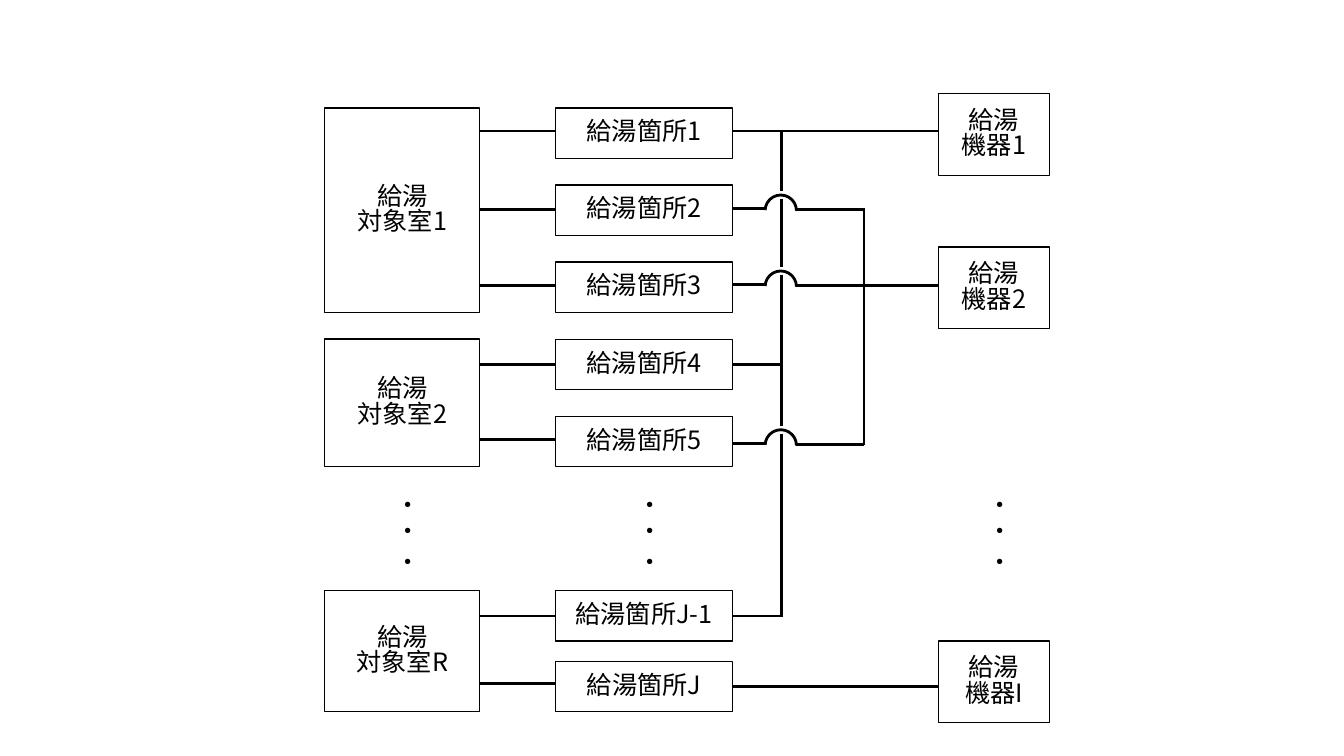
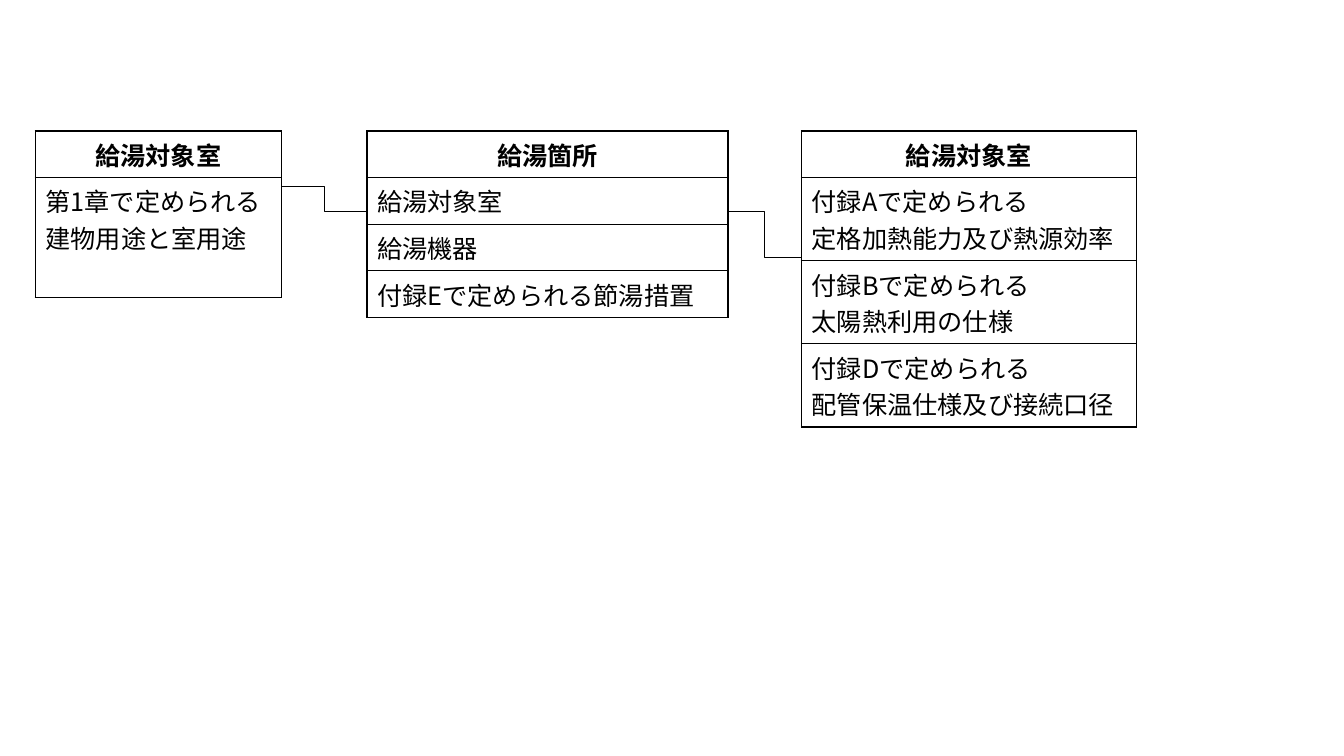
from dataclasses import dataclass

from lxml.etree import SubElement
from pptx import Presentation
from pptx.dml.color import RGBColor
from pptx.enum.shapes import MSO_CONNECTOR, MSO_SHAPE
from pptx.enum.text import MSO_ANCHOR, PP_ALIGN
from pptx.oxml.ns import qn
from pptx.slide import Slide
from pptx.text.text import TextFrame
from pptx.util import Emu, Inches, Pt


@dataclass(frozen=True)
class Theme:
    ink: RGBColor = RGBColor(0, 0, 0)
    font: str = "Noto Sans CJK JP"
    size: Pt = Pt(18)
    diagram_spacing: float = 0.84
    box_line: Pt = Pt(1)
    pipe_line: Pt = Pt(2)
    relation_line: Pt = Pt(0.5)


@dataclass(frozen=True)
class Spot:
    """Hot water outlet; room_y and pipe_y are its line heights left and right."""
    label: str
    top: float
    room_y: float
    pipe_y: float


@dataclass(frozen=True)
class Room:
    label: str
    first_spot: int
    last_spot: int


@dataclass(frozen=True)
class Heater:
    label: str
    top: float


@dataclass(frozen=True)
class Entity:
    title: str
    left: float
    width: float
    fields: tuple[str, ...]


@dataclass(frozen=True)
class Relation:
    start: tuple[float, float]
    end: tuple[float, float]


THEME = Theme()
WIDTH, HEIGHT = Inches(13.33), Inches(7.5)


# Lengths are percentages of the slide's width and height
def across(share: float) -> Emu:
    return Emu(round(WIDTH * share / 100))


def down(share: float) -> Emu:
    return Emu(round(HEIGHT * share / 100))


# Shared drawing functions
def write(frame: TextFrame, text: str, align: PP_ALIGN, bold: bool = False,
          spacing: float = 1.0) -> None:
    frame.text = text
    for paragraph in frame.paragraphs:
        paragraph.alignment = align
        paragraph.line_spacing = spacing
        font = paragraph.font
        font.name, font.size, font.bold = THEME.font, THEME.size, bold
        font.color.rgb = THEME.ink
        east_asian = SubElement(paragraph._p.pPr.find(qn("a:defRPr")), qn("a:ea"))
        east_asian.set("typeface", THEME.font)


def draw_box(slide: Slide, label: str, left: float, top: float,
             width: float, height: float) -> None:
    box = slide.shapes.add_shape(MSO_SHAPE.RECTANGLE, across(left), down(top),
                                 across(width), down(height))
    box.shadow.inherit = False
    box.fill.background()
    box.line.color.rgb, box.line.width = THEME.ink, THEME.box_line
    box.text_frame.vertical_anchor = MSO_ANCHOR.MIDDLE
    write(box.text_frame, label, PP_ALIGN.CENTER, spacing=THEME.diagram_spacing)


def draw_line(slide: Slide, start: tuple[float, float], end: tuple[float, float],
              width: Pt = THEME.pipe_line,
              route: MSO_CONNECTOR = MSO_CONNECTOR.STRAIGHT) -> None:
    line = slide.shapes.add_connector(route, across(start[0]), down(start[1]),
                                      across(end[0]), down(end[1]))
    line.line.color.rgb, line.line.width = THEME.ink, width
    SubElement(line._element.spPr, qn("a:effectLst"))


def draw_bridge(slide: Slide, left: float, top: float, width: float, height: float) -> None:
    bridge = slide.shapes.add_shape(MSO_SHAPE.ARC, across(left), down(top),
                                    across(width), down(height))
    bridge.shadow.inherit = False
    bridge.fill.background()
    bridge.line.color.rgb, bridge.line.width = THEME.ink, THEME.pipe_line
    bridge.adjustments[0], bridge.adjustments[1] = 109.1, 0


def draw_ellipsis(slide: Slide, left: float) -> None:
    dots = slide.shapes.add_textbox(across(left), down(63.87), across(3.75), down(14.53))
    dots.text_frame.word_wrap = True
    dots.text_frame._txBody.bodyPr.set("vert", "eaVert")
    write(dots.text_frame, "・・ ・", PP_ALIGN.LEFT)


def draw_entity(slide: Slide, entity: Entity) -> None:
    rows = (entity.title, *entity.fields)
    table = slide.shapes.add_table(len(rows), 1, across(entity.left), down(ENTITY_TOP),
                                   across(entity.width), down(ROW_HEIGHT * len(rows))).table
    table.first_row = table.horz_banding = False
    for index, text in enumerate(rows):
        table.rows[index].height = down(ROW_HEIGHT + LINE_HEIGHT * text.count("\n"))
        cell = table.cell(index, 0)
        is_title = index == 0
        write(cell.text_frame, text, PP_ALIGN.CENTER if is_title else PP_ALIGN.LEFT, is_title)
        properties = cell._tc.get_or_add_tcPr()
        for side in ("lnL", "lnR", "lnT", "lnB"):
            border = SubElement(properties, qn(f"a:{side}"), w=str(THEME.box_line))
            paint = SubElement(border, qn("a:solidFill"))
            SubElement(paint, qn("a:srgbClr"), val=str(THEME.ink))
        cell.fill.background()


# Hot water system: columns, bus lines and bridges
ROOM_LEFT, ROOM_WIDTH = 24.15, 11.55
SPOT_LEFT, SPOT_WIDTH, SPOT_HEIGHT = 41.32, 13.2, 6.67
HEATER_LEFT, HEATER_WIDTH, HEATER_HEIGHT = 69.83, 8.25, 10.8
ROOM_RIGHT, SPOT_RIGHT = ROOM_LEFT + ROOM_WIDTH, SPOT_LEFT + SPOT_WIDTH
BUS_1, BUS_2 = 58.12, 64.28
BRIDGE_LEFT, BRIDGE_WIDTH, BRIDGE_HEIGHT, BRIDGE_RISE = 56.93, 2.33, 4.13, 1.8
GAP_START, GAP_END = 2.33, 1.3
FIRST_TOP, SPOT_PITCH = 14.27, 10.2

SPOTS = (
    Spot("給湯箇所1", FIRST_TOP, 17.33, 17.33),
    Spot("給湯箇所2", FIRST_TOP + SPOT_PITCH, 27.73, 27.6),
    Spot("給湯箇所3", FIRST_TOP + 2 * SPOT_PITCH, 37.73, 37.65),
    Spot("給湯箇所4", FIRST_TOP + 3 * SPOT_PITCH, 48.27, 48.27),
    Spot("給湯箇所5", FIRST_TOP + 4 * SPOT_PITCH, 58.13, 58.65),
    Spot("給湯箇所J-1", 78.13, 81.47, 81.47),
    Spot("給湯箇所J", 87.47, 90.4, 90.8),
)
ROOMS = (Room("給湯\n対象室1", 0, 2), Room("給湯\n対象室2", 3, 4), Room("給湯\n対象室R", 5, 6))
HEATERS = (Heater("給湯\n機器1", 12.4), Heater("給湯\n機器2", 32.67), Heater("給湯\n機器I", 84.8))
ELLIPSIS_LEFTS = (28.06, 46.06, 72.09)
PIPE_ENDS = (HEATER_LEFT, BRIDGE_LEFT, BRIDGE_LEFT, BUS_1, BRIDGE_LEFT, BUS_1, HEATER_LEFT)
BRIDGE_ENDS = {1: BUS_2, 2: HEATER_LEFT, 4: BUS_2}


def draw_system(slide: Slide) -> None:
    # Rooms span their spots
    for room in ROOMS:
        top = SPOTS[room.first_spot].top
        bottom = SPOTS[room.last_spot].top + SPOT_HEIGHT
        draw_box(slide, room.label, ROOM_LEFT, top, ROOM_WIDTH, bottom - top)
    # Spots with their pipes
    for spot, pipe_end in zip(SPOTS, PIPE_ENDS):
        draw_box(slide, spot.label, SPOT_LEFT, spot.top, SPOT_WIDTH, SPOT_HEIGHT)
        draw_line(slide, (ROOM_RIGHT, spot.room_y), (SPOT_LEFT, spot.room_y))
        draw_line(slide, (SPOT_RIGHT, spot.pipe_y), (pipe_end, spot.pipe_y))
    for heater in HEATERS:
        draw_box(slide, heater.label, HEATER_LEFT, heater.top, HEATER_WIDTH, HEATER_HEIGHT)
    for left in ELLIPSIS_LEFTS:
        draw_ellipsis(slide, left)
    # First bus, broken under each bridge
    bus_start = SPOTS[0].pipe_y
    for index, pipe_end in BRIDGE_ENDS.items():
        crossing = SPOTS[index].pipe_y
        draw_bridge(slide, BRIDGE_LEFT, crossing - BRIDGE_RISE, BRIDGE_WIDTH, BRIDGE_HEIGHT)
        draw_line(slide, (BRIDGE_LEFT + BRIDGE_WIDTH, crossing + 0.1), (pipe_end, crossing + 0.1))
        draw_line(slide, (BUS_1, bus_start), (BUS_1, crossing - GAP_START))
        bus_start = crossing - GAP_END
    draw_line(slide, (BUS_1, bus_start), (BUS_1, SPOTS[5].pipe_y + 0.15))
    # Second bus
    draw_line(slide, (BUS_2, SPOTS[1].pipe_y - 0.1), (BUS_2, SPOTS[4].pipe_y + 0.2))


# Data model: entities and relations
ENTITY_TOP, ROW_HEIGHT, LINE_HEIGHT = 17.33, 6.15, 4.85
ENTITIES = (
    Entity("給湯対象室", 2.63, 18.3, ("第1章で定められる\n建物用途と室用途",)),
    Entity("給湯箇所", 27.31, 26.86, ("給湯対象室", "給湯機器", "付録Eで定められる節湯措置")),
    Entity("給湯対象室", 59.64, 24.91, (
        "付録Aで定められる\n定格加熱能力及び熱源効率",
        "付録Bで定められる\n太陽熱利用の仕様",
        "付録Dで定められる\n配管保温仕様及び接続口径",
    )),
)
RELATIONS = (
    Relation((20.93, 24.67), (27.31, 28)),
    Relation((54.17, 28), (59.64, 34)),
)


def draw_data_model(slide: Slide) -> None:
    for entity in ENTITIES:
        draw_entity(slide, entity)
    for relation in RELATIONS:
        draw_line(slide, relation.start, relation.end, THEME.relation_line, MSO_CONNECTOR.ELBOW)


presentation = Presentation()
presentation.slide_width, presentation.slide_height = WIDTH, HEIGHT
for draw in (draw_system, draw_data_model):
    draw(presentation.slides.add_slide(presentation.slide_layouts[6]))
presentation.save("out.pptx")
